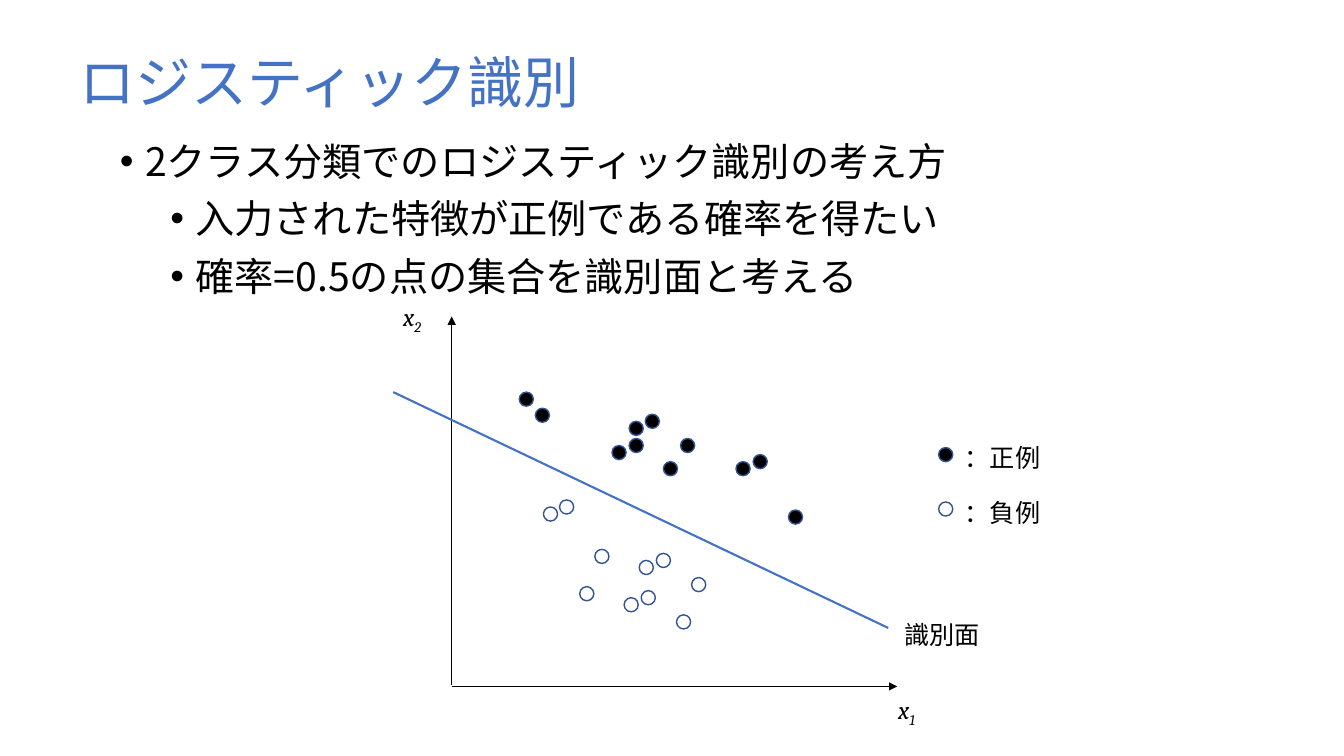
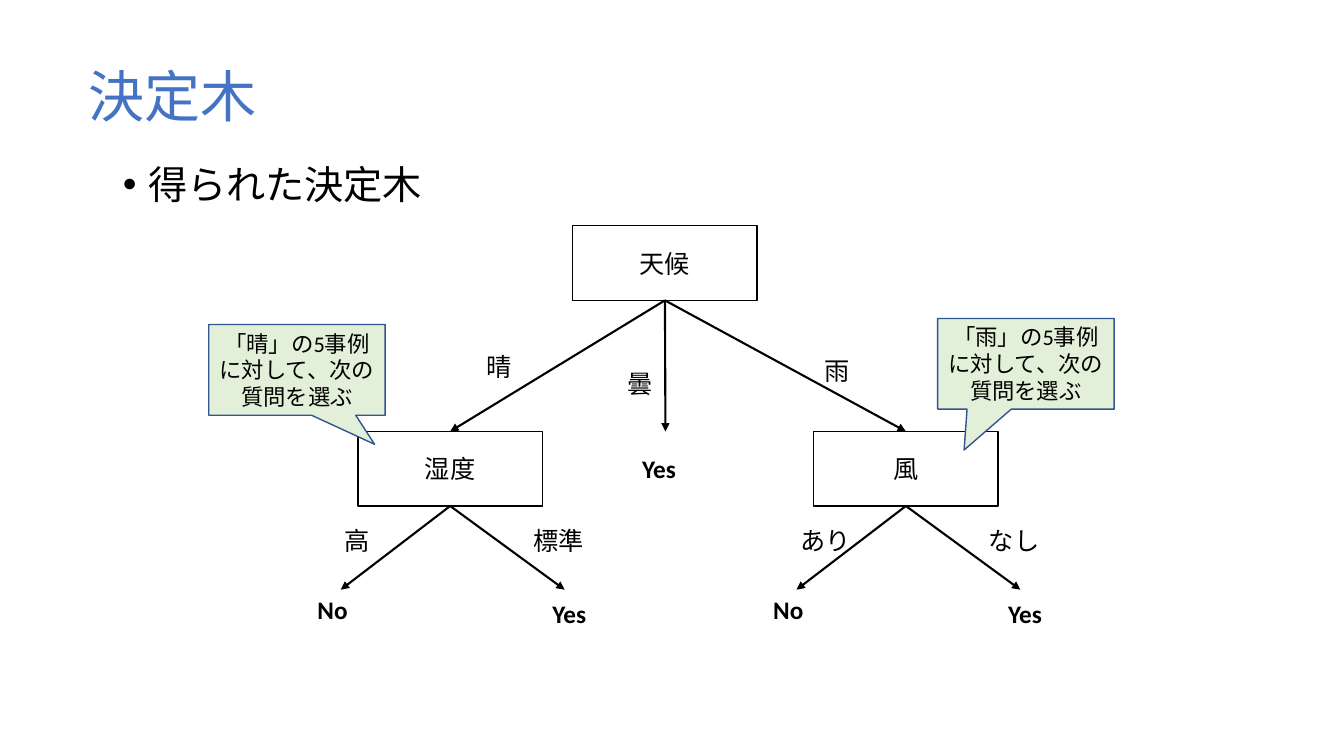
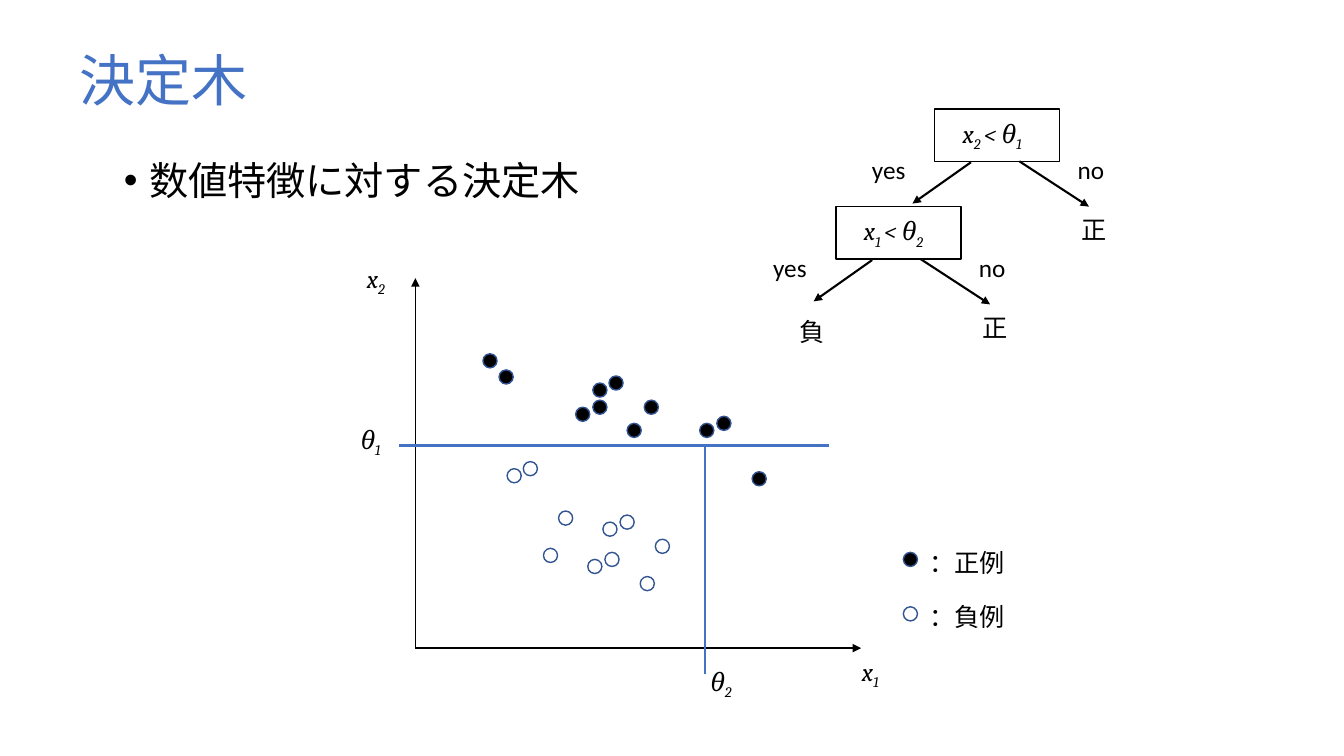
from lxml import etree
from pptx import Presentation
from pptx.dml.color import RGBColor
from pptx.enum.shapes import MSO_CONNECTOR, MSO_SHAPE
from pptx.enum.text import MSO_ANCHOR, MSO_AUTO_SIZE, PP_ALIGN
from pptx.oxml.ns import qn
from pptx.util import Emu, Pt

STRAIGHT = MSO_CONNECTOR.STRAIGHT
RECTANGLE = MSO_SHAPE.RECTANGLE
ELLIPSE = MSO_SHAPE.OVAL
CALLOUT = MSO_SHAPE.RECTANGULAR_CALLOUT
MIDDLE = MSO_ANCHOR.MIDDLE
CENTER = PP_ALIGN.CENTER
GROW = MSO_AUTO_SIZE.SHAPE_TO_FIT_TEXT

EMU_PER_PX = 9144
SLIDE_SIZE = (1333, 750)
BLANK_LAYOUT = 6
BOTTOM, TOP = 2, 0

BLACK, BLUE, DOT_LINE, PALE_GREEN = "000000", "4472C4", "325491", "E2F0D9"
EAST_ASIAN_FONT = "Noto Sans CJK JP"

TITLE = {"name": EAST_ASIAN_FONT, "size": Pt(40)}
BODY = {"name": EAST_ASIAN_FONT, "size": Pt(28)}
LABEL = {"name": "Calibri", "size": Pt(18)}
ANSWER = {**LABEL, "bold": True}
NOTE = {**LABEL, "size": Pt(16)}
FORMULA = {"name": "Cambria", "size": Pt(18), "italic": True}

DOT = 14
LABEL_HEIGHT = 40
POSITIVE_DOTS = [(67, 75), (83, 91), (159, 128), (176, 121), (210, 144), (176, 104),
                 (192, 97), (227, 121), (282, 144), (299, 137), (334, 192)]
NEGATIVE_DOTS = [(91, 189), (107, 182), (142, 231), (186, 242), (203, 235),
                 (238, 259), (127, 268), (171, 279), (188, 272), (223, 296)]


def px(*lengths):
    return [Emu(length * EMU_PER_PX) for length in lengths]


def color(value):
    return RGBColor.from_string(value)


def apply(target, formats):
    for name, value in formats.items():
        setattr(target, name, value)


def add_run(paragraph, text, font, fill=BLACK, subscript=False):
    run = paragraph.add_run()
    run.text = text
    apply(run.font, font)
    run.font.color.rgb = color(fill)
    properties = run.font._element
    etree.SubElement(properties, qn("a:ea"), typeface=EAST_ASIAN_FONT)
    if subscript:
        properties.set("baseline", "-25000")


def add_text_box(slide, box, **frame_formats):
    """Add an empty text box and return its text frame."""
    frame = slide.shapes.add_textbox(*px(*box)).text_frame
    apply(frame, frame_formats)
    return frame


def add_label(slide, left, top, width, text, font=LABEL):
    frame = add_text_box(slide, (left, top, width, LABEL_HEIGHT), word_wrap=False, auto_size=GROW)
    add_run(frame.paragraphs[0], text, font)


def add_formula(slide, left, top, width, *parts):
    """Every second part is a subscript."""
    frame = add_text_box(slide, (left, top, width, LABEL_HEIGHT), word_wrap=False, auto_size=GROW)
    for index, part in enumerate(parts):
        add_run(frame.paragraphs[0], part, FORMULA, subscript=index % 2 == 1)


def add_shape(slide, kind, box, fill=None, line=BLACK):
    shape = slide.shapes.add_shape(kind, *px(*box))
    shape.shadow.inherit = False
    if fill:
        shape.fill.solid()
        shape.fill.fore_color.rgb = color(fill)
    else:
        shape.fill.background()
    shape.line.color.rgb = color(line)
    shape.line.width = Pt(1)
    return shape


def add_centered_text(shape, lines, font):
    frame = shape.text_frame
    apply(frame, {"word_wrap": True, "vertical_anchor": MIDDLE})
    for index, line in enumerate(lines):
        paragraph = frame.add_paragraph() if index else frame.paragraphs[0]
        paragraph.alignment = CENTER
        add_run(paragraph, line, font)


def add_line(slide, start, end, line=BLACK, width=1.5, arrow=False):
    connector = slide.shapes.add_connector(STRAIGHT, *px(*start, *end))
    connector.line.color.rgb = color(line)
    connector.line.width = Pt(width)
    if arrow:
        etree.SubElement(connector.get_or_add_ln(), qn("a:tailEnd"), type="triangle")
    etree.SubElement(connector._element.spPr, qn("a:effectLst"))
    return connector


def add_title(slide, box, text):
    frame = add_text_box(slide, box, word_wrap=True, vertical_anchor=MIDDLE)
    paragraph = frame.paragraphs[0]
    paragraph.line_spacing = 0.9
    add_run(paragraph, text, TITLE, BLUE)


def add_bullets(slide, box, items, line_spacing):
    """Items are pairs of indent level and text."""
    frame = add_text_box(slide, box, word_wrap=True)
    for index, (level, text) in enumerate(items):
        paragraph = frame.add_paragraph() if index else frame.paragraphs[0]
        apply(paragraph, {"level": level, "line_spacing": Pt(line_spacing),
                          "space_before": Pt(5 if level else 10)})
        properties = paragraph._p.get_or_add_pPr()
        margin, hanging = px(25 + 50 * level, -25)
        properties.set("marL", str(margin))
        properties.set("indent", str(hanging))
        etree.SubElement(properties, qn("a:buFont"), typeface="Arial")
        etree.SubElement(properties, qn("a:buChar"), char="•")
        add_run(paragraph, text, BODY)


def add_dot(slide, left, top, fill):
    add_shape(slide, ELLIPSE, (left, top, DOT, DOT), fill, DOT_LINE)


def add_scatter(slide, left, top):
    """Draw both axes and the dots; left and top mark the tip of the vertical axis."""
    add_line(slide, (left, top + 366), (left, top), width=1, arrow=True)
    add_line(slide, (left, top + 367), (left + 442, top + 367), width=1, arrow=True)
    for dots, fill in ((POSITIVE_DOTS, BLACK), (NEGATIVE_DOTS, None)):
        for x, y in dots:
            add_dot(slide, left + x, top + y, fill)
    add_formula(slide, left - 58, top - 20, 42, "x", "2")
    add_formula(slide, left + 433, top + 370, 42, "x", "1")


def add_legend(slide, left, top):
    for row, (fill, text) in enumerate(((BLACK, "：正例"), (None, "：負例"))):
        row_top = top + 54 * row
        add_dot(slide, left, row_top, fill)
        add_label(slide, left + 16, row_top - 10, 96, text)


def add_question(slide, left, top, text):
    question = add_shape(slide, RECTANGLE, (left, top, 183, 74))
    add_centered_text(question, [text], LABEL)
    return question


def add_subtree(slide, left, top, text, no_label, yes_label):
    """Draw a question with its two answers; labels are pairs of width and text."""
    question = add_question(slide, left, top, text)
    for x in (-17, 205):
        branch = add_line(slide, (left + 91, top + 74), (left + x, top + 157), arrow=True)
        branch.begin_connect(question, BOTTOM)
    add_label(slide, left - 23, top + 88, *no_label)
    add_label(slide, left + 164, top + 88, *yes_label)
    add_label(slide, left - 50, top + 157, 55, "No", ANSWER)
    add_label(slide, left + 183, top + 161, 66, "Yes", ANSWER)
    return question


def add_callout(slide, left, top, weather, tip):
    callout = add_shape(slide, CALLOUT, (left, top, 175, 90), PALE_GREEN, DOT_LINE)
    for index, value in enumerate(tip):
        callout.adjustments[index] = value
    add_centered_text(callout, [f"「{weather}」の5事例", "に対して、次の質問を選ぶ"], NOTE)


def add_threshold_test(slide, left, top, feature, threshold):
    add_shape(slide, RECTANGLE, (left, top, 124, 52))
    add_formula(slide, left + 18, top + 4, 92, "x", f"{feature} ", "< θ", threshold)
    add_line(slide, (left + 36, top + 53), (left - 22, top + 94), arrow=True)
    add_line(slide, (left + 84, top + 52), (left + 153, top + 97), arrow=True)
    add_label(slide, left - 72, top + 40, 59, "yes")
    add_label(slide, left + 132, top + 40, 49, "no")
    add_label(slide, left + 136, top + 100, 45, "正")


def build_logistic_slide(slide):
    add_title(slide, (69, 45, 862, 79), "ロジスティック識別")
    add_bullets(slide, (109, 128, 1011, 506), [
        (0, "2クラス分類でのロジスティック識別の考え方"),
        (1, "入力された特徴が正例である確率を得たい"),
        (1, "確率=0.5の点の集合を識別面と考える"),
    ], 36)
    add_scatter(slide, 448, 314)
    add_legend(slide, 931, 444)
    add_line(slide, (390, 389), (881, 623), BLUE)
    add_label(slide, 887, 609, 96, "識別面")


def build_weather_tree_slide(slide):
    add_title(slide, (78, 52, 862, 94), "決定木")
    add_bullets(slide, (112, 145, 885, 506), [(0, "得られた決定木")], 40)
    root = add_question(slide, 568, 224, "天候")
    humidity = add_subtree(slide, 355, 428, "湿度", (45, "高"), (71, "標準"))
    wind = add_subtree(slide, 807, 428, "風", (71, "あり"), (71, "なし"))
    for question in (humidity, None, wind):
        branch = add_line(slide, (660, 298), (660, 428), arrow=True)
        branch.begin_connect(root, BOTTOM)
        if question:
            branch.end_connect(question, TOP)
    for left, top, weather in ((473, 344, "晴"), (613, 361, "曇"), (808, 348, "雨")):
        add_label(slide, left, top, 45, weather)
    add_label(slide, 627, 445, 66, "Yes", ANSWER)
    add_callout(slide, 207, 322, "晴", (0.44, 0.82))
    add_callout(slide, 930, 316, "雨", (-0.35, 0.95))


def build_threshold_slide(slide):
    add_title(slide, (69, 43, 862, 79), "決定木")
    add_bullets(slide, (113, 141, 885, 506), [(0, "数値特徴に対する決定木")], 40)
    add_scatter(slide, 412, 276)
    add_legend(slide, 896, 548)
    add_line(slide, (396, 442), (822, 442), BLUE)
    add_line(slide, (699, 442), (699, 669), BLUE)
    add_formula(slide, 348, 416, 43, "θ", "1")
    add_formula(slide, 695, 656, 43, "θ", "2")
    add_threshold_test(slide, 927, 108, "2", "1")
    add_threshold_test(slide, 829, 205, "1", "2")
    add_label(slide, 783, 309, 45, "負")


def main():
    presentation = Presentation()
    presentation.slide_width, presentation.slide_height = px(*SLIDE_SIZE)
    for build in (build_logistic_slide, build_weather_tree_slide, build_threshold_slide):
        build(presentation.slides.add_slide(presentation.slide_layouts[BLANK_LAYOUT]))
    presentation.save("out.pptx")


if __name__ == "__main__":
    main()
